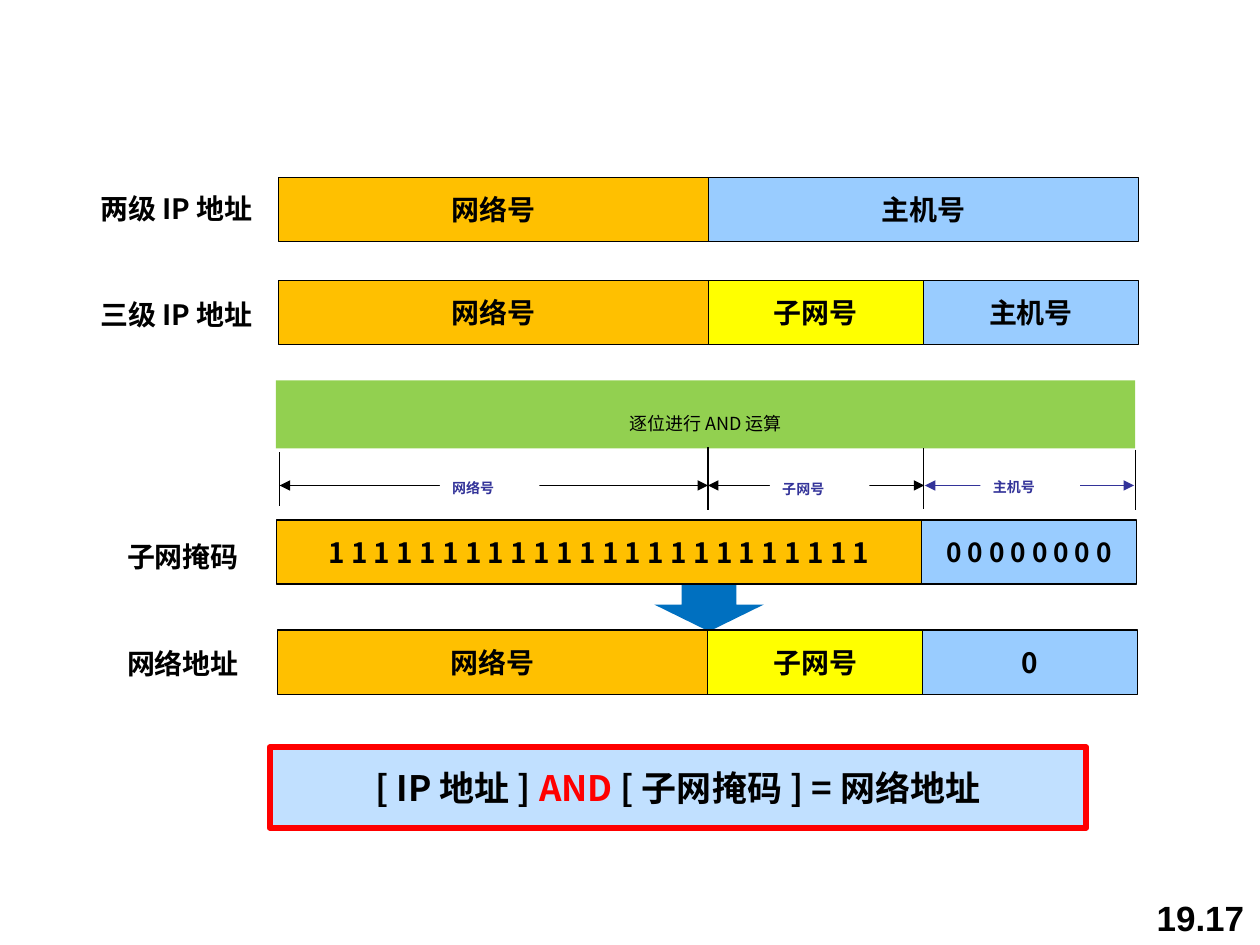
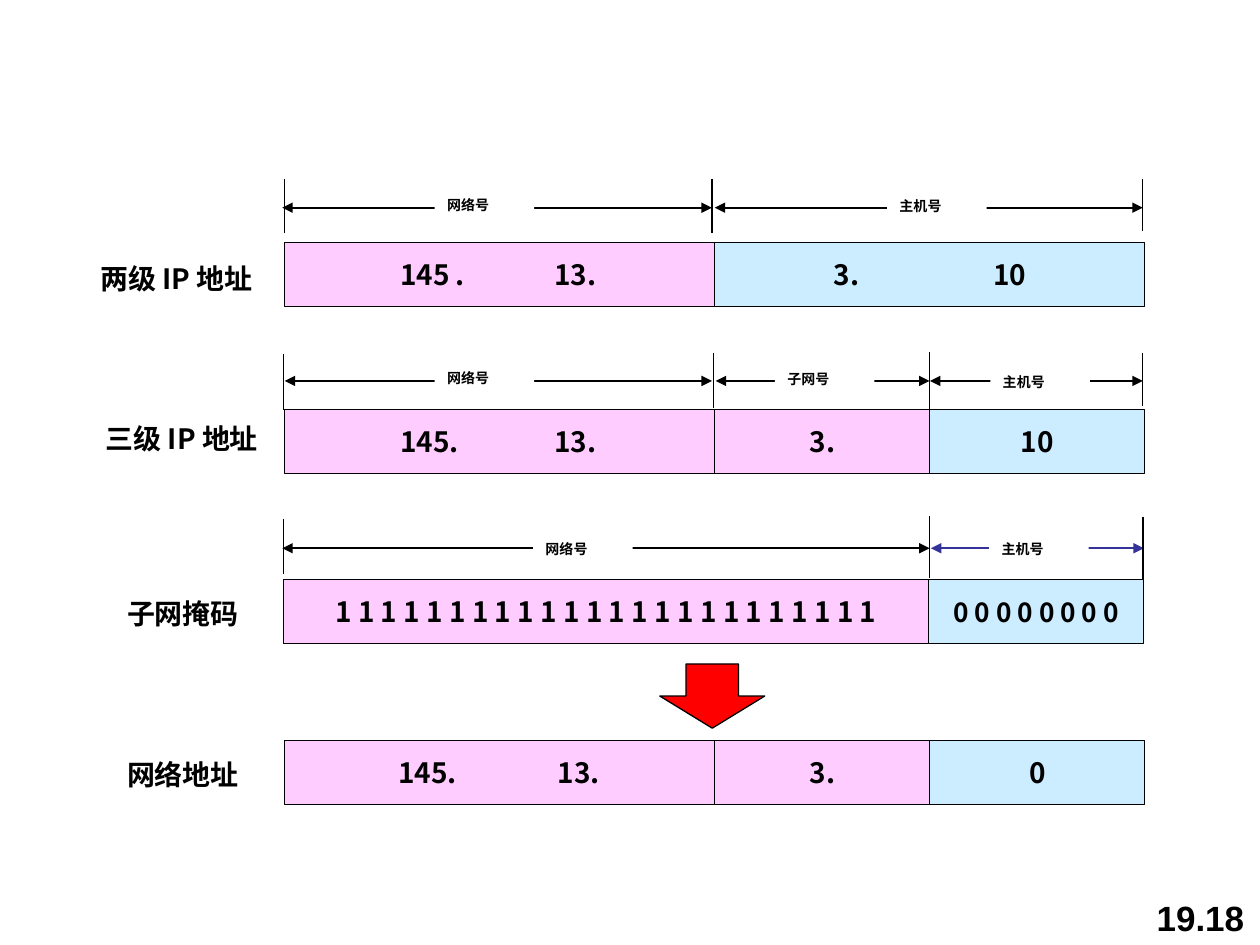
import pptx
import pptx.dml.color
import pptx.enum.shapes
import pptx.enum.text
import pptx.oxml
import pptx.oxml.ns
import pptx.util

RGBColor = pptx.dml.color.RGBColor
Pt = pptx.util.Pt
Shapes = pptx.enum.shapes.MSO_SHAPE
Align = pptx.enum.text.PP_ALIGN
Anchor = pptx.enum.text.MSO_ANCHOR

BLACK = RGBColor(0x00, 0x00, 0x00)
WHITE = RGBColor(0xFF, 0xFF, 0xFF)
RED = RGBColor(0xFF, 0x00, 0x00)
INDIGO = RGBColor(0x33, 0x33, 0x99)
ORANGE = RGBColor(0xFF, 0xC0, 0x00)
YELLOW = RGBColor(0xFF, 0xFF, 0x00)
SKY = RGBColor(0x99, 0xCC, 0xFF)
PALE_SKY = RGBColor(0xC1, 0xE0, 0xFF)
GREEN = RGBColor(0x92, 0xD0, 0x50)
BLUE = RGBColor(0x00, 0x70, 0xC0)
PINK = RGBColor(0xFF, 0xCC, 0xFF)
ICE = RGBColor(0xCC, 0xEC, 0xFF)

BIT_WIDTH = 15.36
ROW_HEIGHT = 36.7
ONES = " ".join("1" * 24)
ZEROS = " ".join("0" * 8)


def add_xml(parent, tag, **attributes):
    element = pptx.oxml.parse_xml(f"<a:{tag} {pptx.oxml.ns.nsdecls('a')}/>")
    for name, value in attributes.items():
        element.set(name, str(value))
    parent.append(element)
    return element


class Page:
    """Holds the deck's style and the slide being drawn; lengths are points."""

    font = "Noto Sans CJK SC"

    def __init__(self, deck):
        self.deck = deck
        self.slide = None

    def start(self, number):
        self.slide = self.deck.slides.add_slide(self.deck.slide_layouts[6])
        box = self.slide.shapes.add_textbox(Pt(653.8), Pt(504), Pt(66.2), Pt(36))
        self.put_text(box, [(number, BLACK)], 20, font="Arial", align=Align.LEFT,
                      vertical_anchor=Anchor.BOTTOM)

    def put_text(self, box, runs, size, bold=True, font=None, align=Align.CENTER,
                 tabs=(), **frame_format):
        """Fill a box with one paragraph of (text, colour) runs."""
        frame = box.text_frame
        settings = {"word_wrap": False, "vertical_anchor": Anchor.MIDDLE} | frame_format
        for name, value in settings.items():
            setattr(frame, name, value)
        para = frame.paragraphs[0]
        para.alignment = align
        if tabs:
            stops = add_xml(para._p.get_or_add_pPr(), "tabLst")
            for position in tabs:
                add_xml(stops, "tab", pos=Pt(position), algn="l")
        for text, color in runs:
            span = para.add_run()
            span.text = text
            values = {"size": Pt(size), "bold": bold, "name": font or self.font}
            for name, value in values.items():
                setattr(span.font, name, value)
            span.font.color.rgb = color
            add_xml(span._r.get_or_add_rPr(), "ea", typeface=font or self.font)

    def shape(self, kind, left, top, width, height, fill, line=None, weight=0.75):
        box = self.slide.shapes.add_shape(kind, Pt(left), Pt(top), Pt(width), Pt(height))
        box.shadow.inherit = False
        box.fill.solid()
        box.fill.fore_color.rgb = fill
        if line is None:
            box.line.fill.background()
        else:
            box.line.color.rgb = line
            box.line.width = Pt(weight)
        return box

    def row(self, left, top, cells):
        """Draw an address row of (text, bits, fill[, tab stops]) cells."""
        for text, bits, fill, *stops in cells:
            width = bits * BIT_WIDTH
            box = self.shape(Shapes.RECTANGLE, left, top, width, ROW_HEIGHT, fill, BLACK)
            tabs = stops[0] if stops else ()
            self.put_text(box, [(text, BLACK)], 15 if text == ZEROS else 16, tabs=tabs,
                          align=Align.LEFT if tabs else Align.CENTER,
                          word_wrap=True, margin_left=0, margin_right=0)
            left += width

    def row_label(self, left, top, text):
        box = self.slide.shapes.add_textbox(Pt(left), Pt(top), Pt(121), Pt(26.6))
        self.put_text(box, [(text, BLACK)], 16, align=Align.LEFT, word_wrap=True)

    def line(self, start, end, color=BLACK, weight=1.0, arrows=False):
        points = [Pt(value) for value in (*start, *end)]
        connector = self.slide.shapes.add_connector(
            pptx.enum.shapes.MSO_CONNECTOR.STRAIGHT, *points)
        connector.line.color.rgb = color
        connector.line.width = Pt(weight)
        properties = connector._element.spPr
        if arrows:
            for tag in ("headEnd", "tailEnd"):
                add_xml(properties.get_or_add_ln(), tag, type="triangle")
        add_xml(properties, "effectLst")

    def measure(self, y, spans, ticks):
        """Draw labelled double arrows and the upright ticks between them.

        A span is (start, end, colour, text, text colour, label left, label top);
        a tick is (x, top, bottom, weight).
        """
        for start, end, color, text, text_color, left, top in spans:
            self.line((start, y), (end, y), color, arrows=True)
            box = self.shape(Shapes.RECTANGLE, left, top, 56.9, 23.8, WHITE)
            self.put_text(box, [(text, text_color)], 8, align=Align.LEFT, word_wrap=True,
                          vertical_anchor=Anchor.TOP, margin_top=Pt(10), margin_bottom=0)
        for x, top, bottom, weight in ticks:
            self.line((x, top), (x, bottom), weight=weight)


def draw_and_rule(page):
    page.start("19.17")
    formula = page.shape(Shapes.RECTANGLE, 154.1, 427, 466.6, 46.1, PALE_SKY, RED, 3.25)
    page.put_text(formula, [("[ IP 地址 ] ", BLACK), ("AND", RED),
                            (" [ 子网掩码 ] = 网络地址", BLACK)], 20)
    band = page.shape(Shapes.RECTANGLE, 157.7, 217.4, 491, 38.9, GREEN)
    page.put_text(band, [("逐位进行 AND 运算", BLACK)], 10.3, bold=False,
                  margin_top=Pt(10), margin_bottom=0)
    arrow = page.shape(Shapes.DOWN_ARROW, 373.9, 333.4, 62.6, 27.4, BLUE)
    arrow.adjustments[1] = 0.56

    network, subnet = ("网络号", 16, ORANGE), ("子网号", 8, YELLOW)
    page.row(159, 101.3, [network, ("主机号", 16, SKY)])
    page.row(159, 160.2, [network, subnet, ("主机号", 8, SKY)])
    page.measure(277.4, [
        (159.8, 404.6, BLACK, "网络号", INDIGO, 251.3, 264.2),
        (404.6, 528.2, BLACK, "子网号", INDIGO, 439.9, 264.6),
        (528.5, 648, INDIGO, "主机号", INDIGO, 560.2, 263.2),
    ], [(159.8, 258.5, 289.4, 0.75), (404.6, 255.6, 291.6, 1),
        (527.6, 256.3, 290.9, 0.75), (648.9, 257, 291.6, 0.75)])
    page.row(158, 297.1, [(ONES, 24, ORANGE), (ZEROS, 8, SKY)])
    page.row(158.6, 360, [network, subnet, ("0", 8, SKY)])

    for left, top, text in [(50.4, 105.8, "两级 IP 地址"), (50.4, 166.1, "三级 IP 地址"),
                            (65.5, 304.6, "子网掩码"), (65.5, 365.8, "网络地址")]:
        page.row_label(left, top, text)


def draw_example(page):
    page.start("19.18")
    page.shape(Shapes.DOWN_ARROW, 377, 379.4, 60, 36.7, RED, BLACK)

    page.measure(118.7, [
        (161.3, 406.8, BLACK, "网络号", BLACK, 248.4, 102.2),
        (408.4, 653, BLACK, "主机号", BLACK, 506.9, 102.6),
    ], [(162.7, 102.2, 133.2, 0.75), (406.9, 102.2, 133.2, 0.75),
        (653, 102.2, 132.2, 0.75)])
    page.row(162.7, 138.4, [("\t145 .\t13.", 16, PINK, (66, 154)),
                            ("\t3.\t10", 16, ICE, (68, 159))])

    page.measure(217.7, [
        (162.7, 406.8, BLACK, "网络号", BLACK, 248.4, 201.4),
        (409, 531.2, BLACK, "子网号", BLACK, 442.8, 202),
        (531.4, 653, BLACK, "主机号", BLACK, 565.9, 203.5),
    ], [(162, 202.3, 234, 0.75), (407.7, 201.6, 233.3, 0.75),
        (531.2, 201.2, 235.4, 0.75), (653, 201.6, 231.8, 0.75)])
    page.row(162.7, 233.9, [("\t145.\t13.", 16, PINK, (66, 154)),
                            ("3.", 8, PINK), ("10", 8, ICE)])

    page.measure(313.3, [
        (161.3, 531.2, BLACK, "网络号", BLACK, 304.6, 298.8),
        (532, 653.6, INDIGO, "主机号", BLACK, 565.2, 298.8),
    ], [(162, 296.8, 328.2, 0.75), (531.2, 294.7, 330.4, 1), (653.2, 295.2, 331.2, 1)])
    page.row(162, 331.2, [(ONES, 24, PINK), (ZEROS, 8, ICE)])
    page.row(162.7, 423.1, [("\t145.\t13.", 16, PINK, (65, 156)),
                            ("3.", 8, PINK), ("0", 8, ICE)])

    for left, top, text in [(50.4, 145.8, "两级 IP 地址"), (53.3, 237.4, "三级 IP 地址"),
                            (65.5, 337, "子网掩码"), (65.5, 429.3, "网络地址")]:
        page.row_label(left, top, text)


def main():
    deck = pptx.Presentation()
    deck.slide_width, deck.slide_height = Pt(720), Pt(540)
    page = Page(deck)
    draw_and_rule(page)
    draw_example(page)
    deck.save("out.pptx")


if __name__ == "__main__":
    main()
